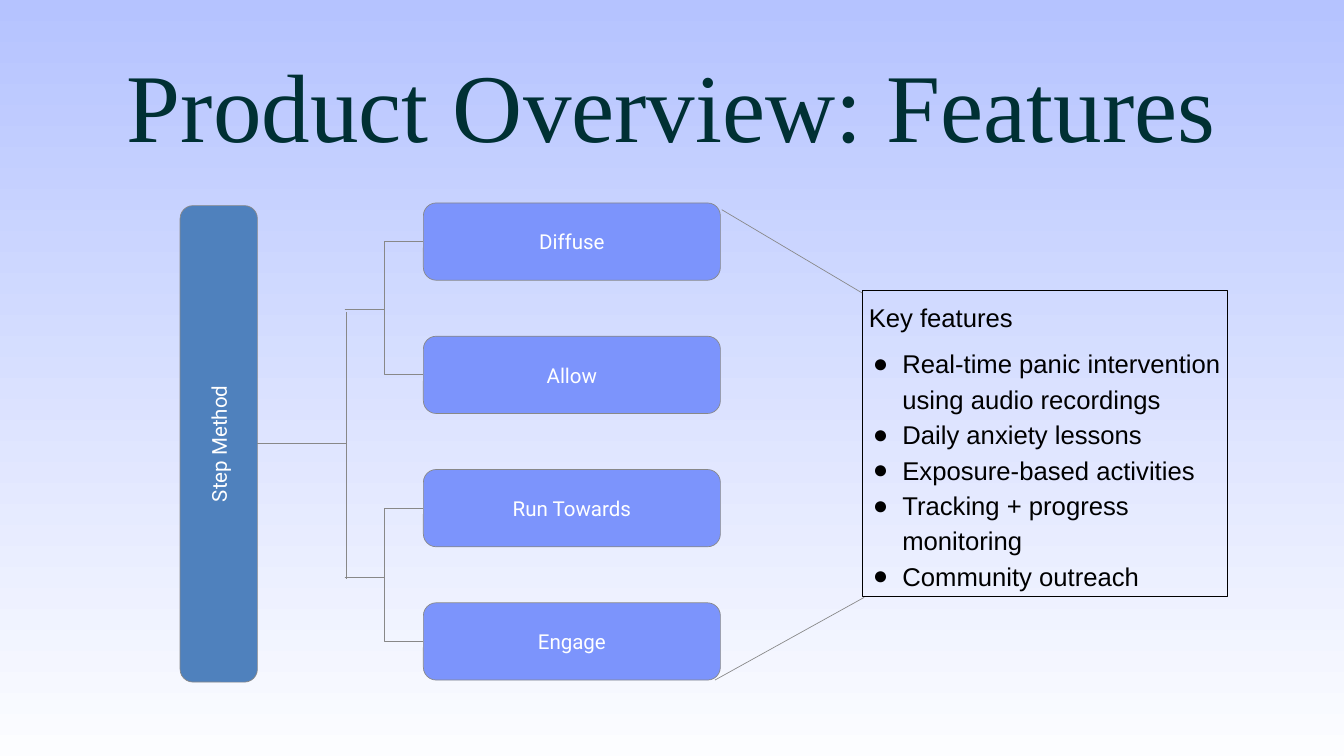
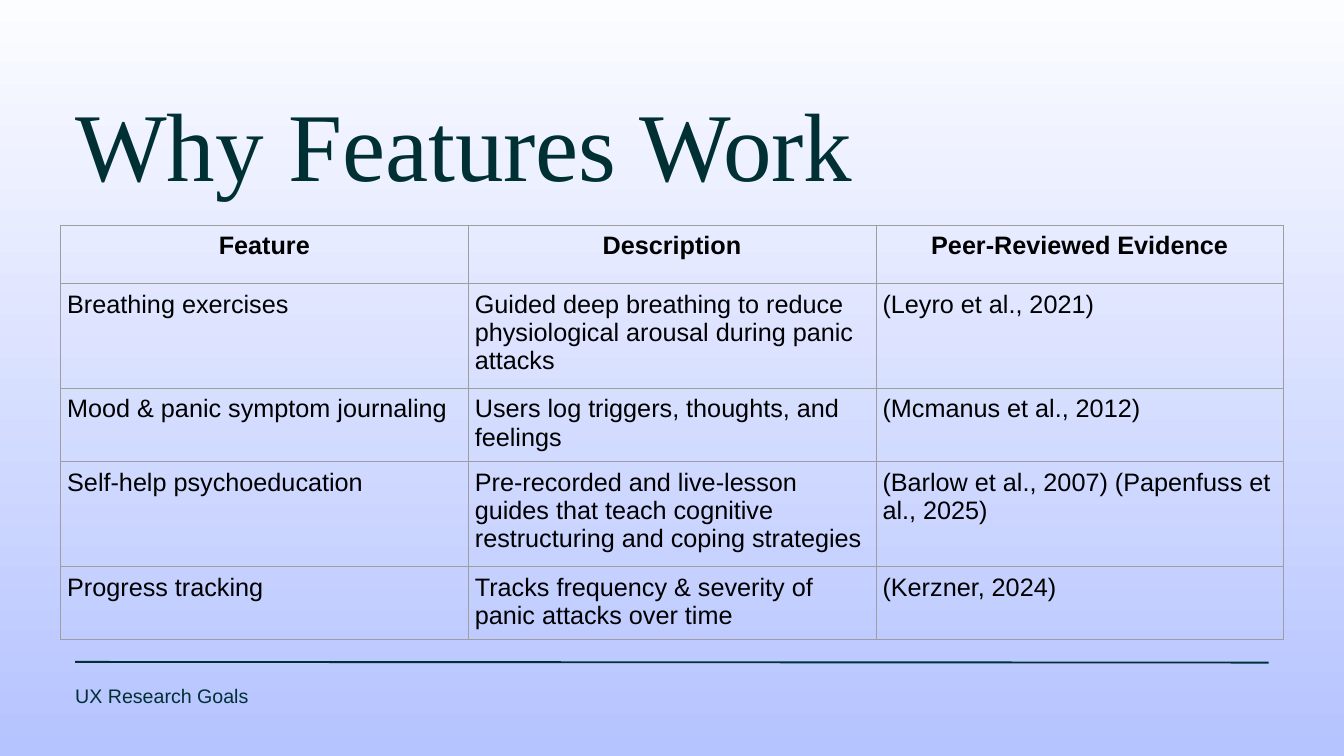
from lxml.etree import SubElement as Sub
from pptx import Presentation
from pptx.dml.color import RGBColor as RGB
from pptx.enum.shapes import MSO_CONNECTOR as Link, MSO_SHAPE as Form
from pptx.enum.text import MSO_ANCHOR as Anchor, MSO_AUTO_SIZE as Fit, PP_ALIGN as Align
from pptx.oxml.ns import qn
from pptx.util import Inches, Pt

HUES = {"pale": "FCFDFF", "sky": "B5C3FF", "ink": "003034", "black": "000000",
        "white": "FFFFFF", "gray": "888888", "rule": "9E9E9E",
        "steel": "4F81BD", "iris": "7C94FC"}
HUE = {name: RGB.from_string(code) for name, code in HUES.items()}


def write(frame, *lines, font="Arial", size=27, hue="black", bold=False, align=Align.LEFT,
          anchor=Anchor.TOP, inset=0.1, space=None, bullet=None):
    """Fill a text frame or cell; with a bullet, every line after the first is a list item."""
    frame.margin_left = frame.margin_right = Inches(inset)
    frame.margin_top = frame.margin_bottom = Inches(inset)
    frame.vertical_anchor = anchor
    body = getattr(frame, "text_frame", frame)
    body.word_wrap = True
    for i, line in enumerate(lines):
        para = body.add_paragraph() if i else body.paragraphs[0]
        para.alignment = align
        if space:
            para.line_spacing = space
        if i == 1:
            para.space_before = Pt(12)
        if bullet and i:
            props = para._p.get_or_add_pPr()
            props.set("marL", str(Inches(0.5)))
            props.set("indent", str(Inches(-0.44)))
            Sub(Sub(props, qn("a:buClr")), qn("a:srgbClr"), val=HUES[hue])
            Sub(props, qn("a:buFont"), typeface=font)
            Sub(props, qn("a:buChar"), char=bullet)
        run = para.add_run()
        run.text = line
        run.font.name, run.font.size, run.font.bold = font, Pt(size), bold
        run.font.color.rgb = HUE[hue]


def join(slide, start, end, kind=Link.STRAIGHT, hue="gray", width=0.75):
    line = slide.shapes.add_connector(kind, *map(Inches, start + end))
    line.line.color.rgb = HUE[hue]
    line.line.width = Pt(width)
    Sub(line._element.spPr, qn("a:effectLst"))
    return line


deck = Presentation()
deck.slide_width, deck.slide_height = Inches(20), Inches(11.25)

# Both slides: gradient background and title
slides = []
for text, place, inset, align, fade in [
    ("Product Overview: Features", (0.67, 0.78, 18.65, 1.78), 0.1, Align.CENTER, ("sky", "pale")),
    ("Why Features Work", (1.12, 1.45, 14.56, 1.58), 0, Align.LEFT, ("pale", "sky")),
]:
    slide = deck.slides.add_slide(deck.slide_layouts[5])
    fill = slide.background.fill
    fill.gradient()
    fill.gradient_angle = 270
    for stop, name in zip(fill.gradient_stops, fade):
        stop.color.rgb = HUE[name]
    title = slide.shapes.title
    title.left, title.top, title.width, title.height = map(Inches, place)
    title.text_frame.auto_size = Fit.NONE
    write(title.text_frame, text, font="Times New Roman", size=104, hue="ink",
          align=align, inset=inset, space=0.9)
    slides.append(slide)
tree, proof = slides

# Slide 1: method tree, lines first
TOP, LAST, HIGH, LEFT, WIDE = 3.02, 8.97, 1.15, 6.3, 4.42
STEP = (LAST - TOP) / 3
for end in (4.64, 8.62):
    trunk = join(tree, (3.83, 6.6), (5.16, end), Link.ELBOW)
    trunk._element.spPr.find(qn("a:prstGeom")).set("prst", "bentConnector2")

boxes = [("Step Method", (-0.29, 6.03, 7.09, HIGH), "steel", 270)]
for i, name in enumerate(["Diffuse", "Allow", "Run Towards", "Engage"]):
    top = TOP + i * STEP
    boxes.append((name, (LEFT, top, WIDE, HIGH), "iris", 0))
    fork = 4.61 if i < 2 else 8.59
    join(tree, (5.13, fork), (LEFT, top + HIGH / 2), Link.ELBOW)

for name, place, hue, turn in boxes:
    box = tree.shapes.add_shape(Form.ROUNDED_RECTANGLE, *map(Inches, place))
    box.rotation = turn
    box.shadow.inherit = False
    box.fill.solid()
    box.fill.fore_color.rgb = HUE[hue]
    box.line.color.rgb = HUE["gray"]
    box.line.width = Pt(0.75)
    write(box.text_frame, name, font="Roboto", size=22, hue="white",
          align=Align.CENTER, anchor=Anchor.MIDDLE, inset=0.2)

# Slide 1: key features
panel = tree.shapes.add_shape(Form.RECTANGLE, *map(Inches, (12.83, 4.32, 5.44, 4.56)))
panel.shadow.inherit = False
panel.fill.background()
panel.line.color.rgb = HUE["black"]
panel.line.width = Pt(0.75)
write(panel.text_frame, "Key features",
      "Real-time panic intervention using audio recordings",
      "Daily anxiety lessons",
      "Exposure-based activities",
      "Tracking + progress monitoring",
      "Community outreach",
      size=27.5, space=1.15, bullet="●")
join(tree, (10.74, 3.12), (12.83, 4.36))
join(tree, (10.64, 10.12), (12.86, 8.89))

# Slide 2: evidence table
ROWS = [
    (0.87, "Feature", "Description", "Peer-Reviewed Evidence"),
    (1.56, "Breathing exercises",
     "Guided deep breathing to reduce physiological arousal during panic attacks",
     "(Leyro et al., 2021)"),
    (1.09, "Mood & panic symptom journaling",
     "Users log triggers, thoughts, and feelings",
     "(Mcmanus et al., 2012)"),
    (1.56, "Self-help psychoeducation",
     "Pre-recorded and live-lesson guides that teach cognitive restructuring and coping strategies",
     "(Barlow et al., 2007) (Papenfuss et al., 2025)"),
    (1.09, "Progress tracking",
     "Tracks frequency & severity of panic attacks over time",
     "(Kerzner, 2024)"),
]
high = sum(row[0] for row in ROWS)
grid = proof.shapes.add_table(len(ROWS), 3, *map(Inches, (0.9, 3.35, 18.2, high))).table
grid.first_row = grid.horz_banding = False
for r, (tall, *texts) in enumerate(ROWS):
    grid.rows[r].height = Inches(tall)
    for c, text in enumerate(texts):
        cell = grid.cell(r, c)
        write(cell, text, bold=r == 0, align=Align.LEFT if r else Align.CENTER)
        props = cell._tc.get_or_add_tcPr()
        for side in "LRTB":
            edge = Sub(props, qn("a:ln" + side), w=str(Pt(0.75)))
            Sub(Sub(edge, qn("a:solidFill")), qn("a:srgbClr"), val=HUES["rule"])
        cell.fill.background()

# Slide 2: footer
join(proof, (1.12, 9.85), (18.88, 9.86), hue="ink", width=2)
foot = proof.shapes.add_textbox(*map(Inches, (1.12, 10.03, 7.44, 0.35)))
write(foot.text_frame, "UX Research Goals", size=21, hue="ink", inset=0, space=1.4)

deck.save("out.pptx")
